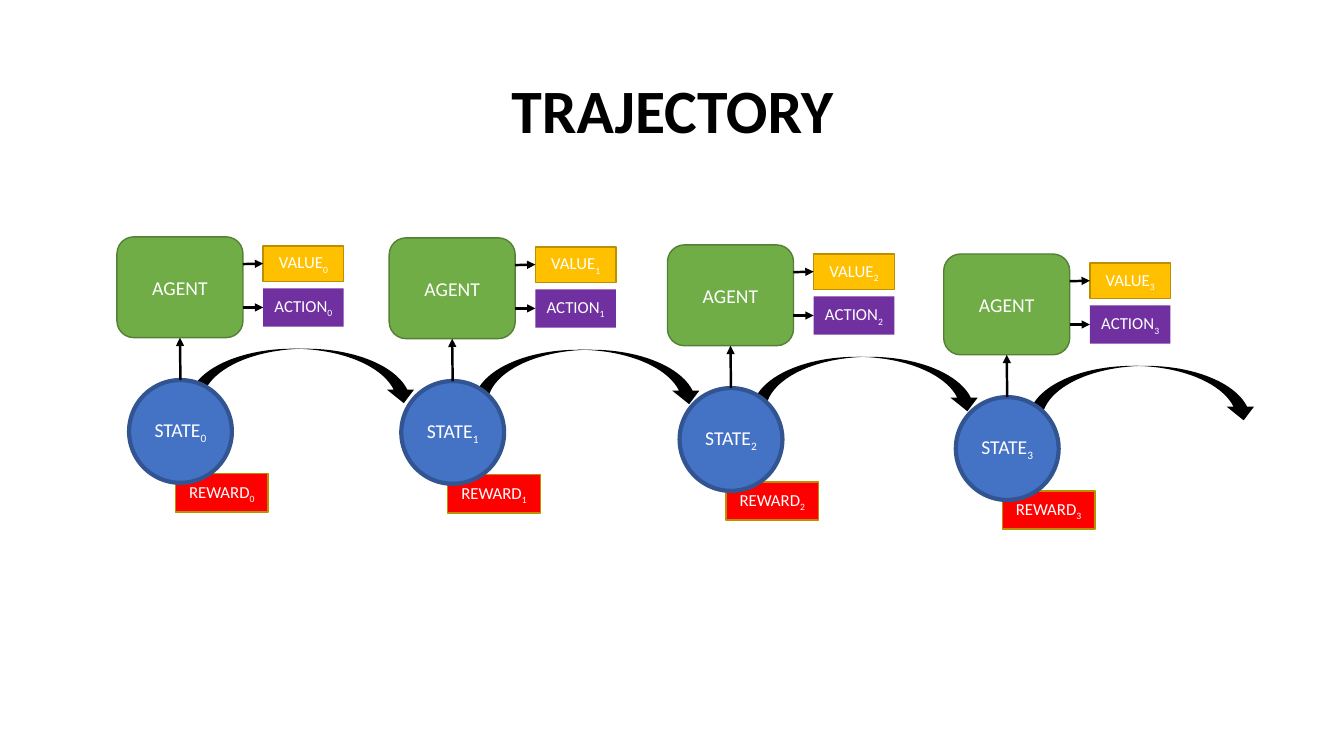
"""Build the trajectory slide: four agent steps linked by curved arrows."""
import dataclasses

import lxml.etree
import pptx
import pptx.dml.color
import pptx.enum.shapes
import pptx.enum.text
import pptx.oxml.ns
import pptx.util

PX = 9144
KIND = pptx.enum.shapes.MSO_SHAPE


@dataclasses.dataclass(frozen=True)
class Theme:
    """Colours and type sizes of the slide."""

    font: str = "Calibri"
    black: str = "000000"
    white: str = "FFFFFF"
    red: str = "FF0000"
    gold: str = "FFC000"
    purple: str = "7030A0"
    green: str = "70AD47"
    blue: str = "4472C4"
    gold_edge: str = "BD8E00"
    green_edge: str = "538035"
    blue_edge: str = "325491"
    title: int = 44
    large: int = 14
    small: int = 12
    arrow: float = 1.75


THEME = Theme()


def emu(*sizes):
    """Turn px lengths into EMU."""
    return [pptx.util.Emu(size * PX) for size in sizes]


def rgb(code):
    """Return the colour for a hex code."""
    return pptx.dml.color.RGBColor.from_string(code)


def write(shape, text, size, color, index="", bold=False):
    """Write one centred line with an optional subscript."""
    frame = shape.text_frame
    frame.vertical_anchor = pptx.enum.text.MSO_ANCHOR.MIDDLE
    line = frame.paragraphs[0]
    line.alignment = pptx.enum.text.PP_ALIGN.CENTER
    line.font.name = THEME.font
    line.font.size = pptx.util.Pt(size)
    line.font.bold = bold
    line.font.color.rgb = rgb(color)
    line.add_run().text = text
    if index:
        sub = line.add_run()
        sub.text = index
        sub.font._element.set("baseline", "-25000")
    return line


def add_title(slide, text):
    """Add the bold slide title."""
    box = slide.shapes.add_textbox(*emu(92, 40, 1150, 145))
    box.text_frame.word_wrap = True
    line = write(box, text, THEME.title, THEME.black, bold=True)
    line.line_spacing = 0.9


def add_block(slide, kind, rect, fill, edge=None, width=1):
    """Add a filled shape with an optional outline."""
    shape = slide.shapes.add_shape(kind, *emu(*rect))
    shape.shadow.inherit = False
    shape.fill.solid()
    shape.fill.fore_color.rgb = rgb(fill)
    if edge:
        shape.line.color.rgb = rgb(edge)
        shape.line.width = pptx.util.Pt(width)
    else:
        shape.line.fill.background()
    return shape


def add_label(slide, kind, rect, text, index, size, *paint):
    """Add a filled shape with white text."""
    shape = add_block(slide, kind, rect, *paint)
    shape.text_frame.word_wrap = False
    write(shape, text, size, THEME.white, index)
    return shape


def add_arrow(slide, left, top, goal, side):
    """Add an arrow from a point to the middle of a side."""
    start = emu(left, top)
    arrow = slide.shapes.add_connector(
        pptx.enum.shapes.MSO_CONNECTOR.STRAIGHT, *start, *start)
    arrow.end_connect(goal, side)
    arrow.line.color.rgb = rgb(THEME.black)
    arrow.line.width = pptx.util.Pt(THEME.arrow)
    qn = pptx.oxml.ns.qn
    tip = lxml.etree.SubElement(arrow.line._get_or_add_ln(), qn("a:tailEnd"))
    tip.set("type", "triangle")
    lxml.etree.SubElement(arrow._element.spPr, qn("a:effectLst"))
    return arrow


def add_step(slide, index, left, top, arc):
    """Add one agent step, placed by the corner of its agent."""
    t = THEME
    add_block(slide, KIND.CURVED_DOWN_ARROW,
              (left + arc, top + 111, 227, 54), t.black)
    add_label(slide, KIND.RECTANGLE, (left + 58, top + 235, 92, 38),
              "REWARD", index, t.small, t.red, t.gold_edge)
    value = add_label(slide, KIND.RECTANGLE, (left + 145, top + 9, 80, 35),
                      "VALUE", index, t.small, t.gold, t.gold_edge)
    action = add_label(slide, KIND.RECTANGLE, (left + 145, top + 51, 80, 38),
                       "ACTION", index, t.small, t.purple)
    agent = add_label(slide, KIND.ROUNDED_RECTANGLE, (left, top, 125, 100),
                      "AGENT", "", t.large, t.green, t.green_edge)
    state = add_label(slide, KIND.OVAL, (left + 12, top + 142, 102, 102),
                      "STATE", index, t.large, t.blue, t.blue_edge, 3)
    add_arrow(slide, left + 125, top + 27, value, 1)
    add_arrow(slide, left + 125, top + 70, action, 1)
    add_arrow(slide, left + 63, top + 142, agent, 2).begin_connect(state, 0)


def main():
    """Build and save the slide."""
    deck = pptx.Presentation()
    deck.slide_width, deck.slide_height = emu(1333, 750)
    slide = deck.slides.add_slide(deck.slide_layouts[6])
    add_title(slide, "TRAJECTORY")
    steps = [(116, 235, 71), (386, 236, 84), (662, 243, 84), (936, 252, 84)]
    for index, place in enumerate(steps):
        add_step(slide, str(index), *place)
    deck.save("out.pptx")


if __name__ == "__main__":
    main()
